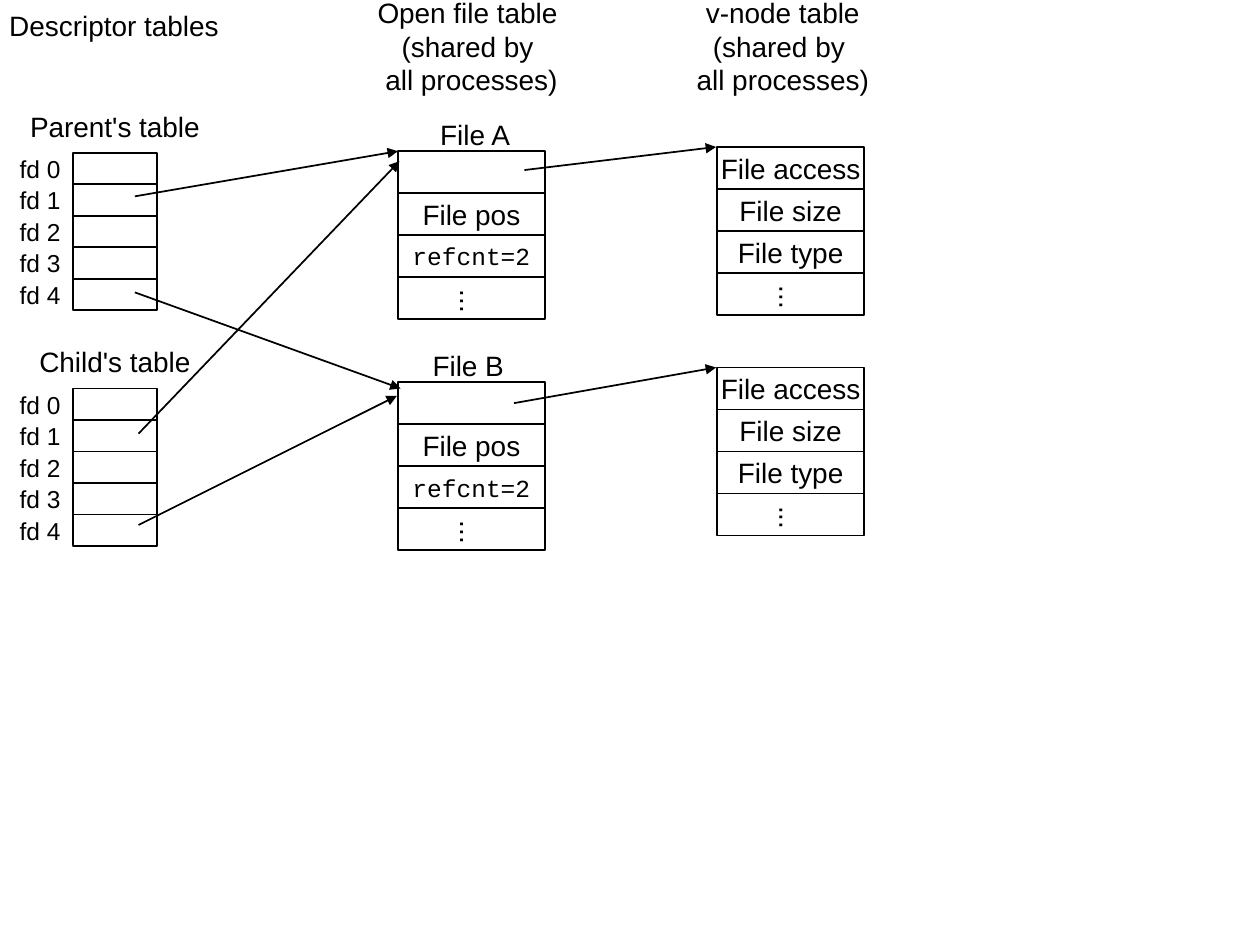
from lxml.etree import SubElement
from pptx import Presentation
from pptx.dml.color import RGBColor
from pptx.enum.shapes import MSO_CONNECTOR, MSO_SHAPE
from pptx.enum.text import MSO_ANCHOR, PP_ALIGN
from pptx.oxml.ns import qn
from pptx.util import Inches, Pt

BLACK = RGBColor(0, 0, 0)
SANS, MONO = "Arial", "Courier New"

# The slide is a grid of 120 columns and 90 rows, twelve to the inch.
COLS, ROWS = 120, 90
FD_W, FD_H = 8, 3
CELL_W, CELL_H = 14, 4
FD_X, FILE_X, NODE_X = 6.95, 37.9, 68.3
HEAD_W, HEAD_H = 24, 4.4
DOTS = "..."


def grid(*cells):
    return [Inches(n / 12) for n in cells]


def write(shape, text, size=16, face=SANS, align=PP_ALIGN.CENTER):
    frame = shape.text_frame
    frame.word_wrap = False
    frame.vertical_anchor = MSO_ANCHOR.MIDDLE
    frame.text = text
    for para in frame.paragraphs:
        para.alignment = align
        para.font.size = Pt(size)
        para.font.name = face
        para.font.color.rgb = BLACK


def label(slide, x, y, w, h, text, **style):
    write(slide.shapes.add_textbox(*grid(x, y, w, h)), text, **style)


def title(slide, mid, y, text, h=HEAD_H):
    """Centre a heading on the column mid, with room to spare."""
    label(slide, mid - HEAD_W / 2, y, HEAD_W, h, text)


def cell(slide, x, y, w, h, text=""):
    box = slide.shapes.add_shape(MSO_SHAPE.RECTANGLE, *grid(x, y, w, h))
    box.shadow.inherit = False
    box.fill.background()
    box.line.color.rgb = BLACK
    box.line.width = Pt(1)
    if text.startswith("refcnt"):
        write(box, text, size=14, face=MONO)
    elif text:
        write(box, text)
    if text == DOTS:
        frame = box.text_frame
        frame.margin_left = frame.margin_right = Inches(0.05)
        frame.margin_top = frame.margin_bottom = Inches(0.1)
        frame._txBody.bodyPr.set("vert", "eaVert")


def stack(slide, x, y, rows):
    """Draw one table as a column of equal cells."""
    for i, text in enumerate(rows):
        cell(slide, x, y + i * CELL_H, CELL_W, CELL_H, text)


def fd_table(slide, x, y, name):
    title(slide, x + FD_W / 2, y - 4.75, name)
    for i in range(5):
        top = y + i * FD_H
        cell(slide, x, top, FD_W, FD_H)
        label(slide, x - FD_W, top, FD_W, FD_H, f"fd {i}",
              size=14, align=PP_ALIGN.RIGHT)


def file_table(slide, x, y, name, shift):
    title(slide, x + CELL_W / 2 + shift, y - 3.8, name)
    stack(slide, x, y, ["", "File pos", "refcnt=2", DOTS])


def node_table(slide, x, y):
    stack(slide, x, y, ["File access", "File size", "File type", DOTS])


def arrow(slide, *ends):
    line = slide.shapes.add_connector(MSO_CONNECTOR.STRAIGHT, *grid(*ends))
    line.line.color.rgb = BLACK
    line.line.width = Pt(1)
    props = line._element.spPr
    SubElement(props.get_or_add_ln(), qn("a:tailEnd"), type="triangle")
    SubElement(props, qn("a:effectLst"))


def heads(slide):
    label(slide, -0.3, 0.2, HEAD_W, HEAD_H, "Descriptor tables",
          align=PP_ALIGN.LEFT)
    shared = "\n(shared by \nall processes)"
    title(slide, 44.9, -1, "Open file table " + shared, h=10.8)
    title(slide, 74.55, -1, "v-node table" + shared, h=10.8)


def main():
    deck = Presentation()
    deck.slide_width, deck.slide_height = grid(COLS, ROWS)
    slide = deck.slides.add_slide(deck.slide_layouts[6])

    heads(slide)
    fd_table(slide, FD_X, 14.55, "Parent's table")
    fd_table(slide, FD_X, 37, "Child's table")
    file_table(slide, FILE_X, 14.4, "File A", 0.35)
    file_table(slide, FILE_X, 36.4, "File B", -0.3)
    for y in (14, 35):
        node_table(slide, NODE_X, y)

    for ends in (
        (12.85, 18.7, 37.9, 14.4),
        (12.85, 27.85, 38.15, 37),
        (13.2, 41.3, 38.05, 15.35),
        (13.2, 50, 37.8, 37.7),
        (49.95, 16.2, 68.2, 14),
        (48.95, 38.4, 68.2, 35),
    ):
        arrow(slide, *ends)
    deck.save("out.pptx")


if __name__ == "__main__":
    main()
